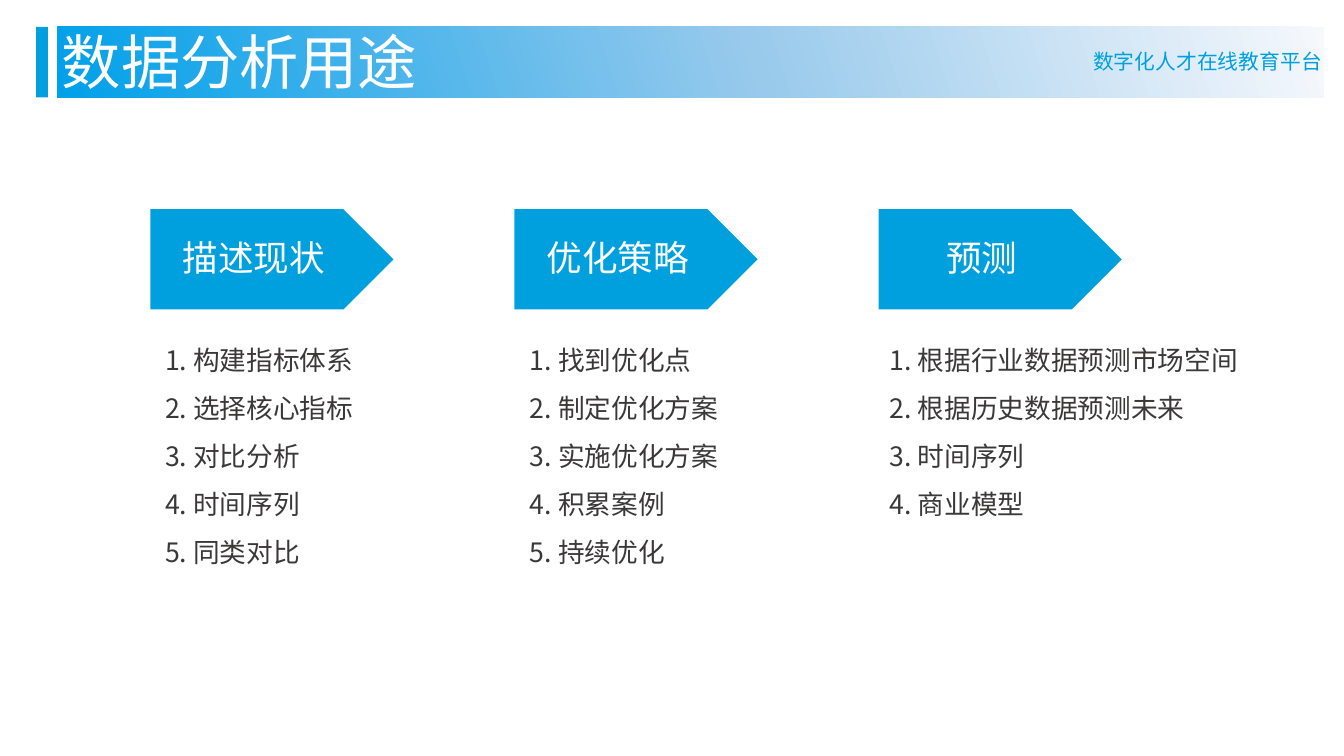
from copy import deepcopy
from dataclasses import dataclass

from lxml import etree
from pptx import Presentation
from pptx import util as u
from pptx.dml.color import RGBColor
from pptx.enum import shapes, text
from pptx.oxml.ns import qn


@dataclass(frozen=True)
class Theme:
    blue: str = "00A0DF"
    white: str = "FFFFFF"
    ink: str = "3B3838"
    band: tuple = (("F6F8FC", 0), ("99CAEC", 0.45), ("00A0EA", 1))
    heading_font: str = "Noto Sans CJK JP"
    list_font: str = "Noto Sans CJK SC"
    title_size: int = 40
    label_size: int = 24
    list_size: int = 18
    tagline_size: int = 14


THEME = Theme()

# Each use: heading, left edge and width of its list in cm, list items
USES = [
    ("描述现状", 3.68, 5.11,
     ["1. 构建指标体系", "2. 选择核心指标", "3. 对比分析", "4. 时间序列", "5. 同类对比"]),
    ("优化策略", 12.37, 5.11,
     ["1. 找到优化点", "2. 制定优化方案", "3. 实施优化方案", "4. 积累案例", "5. 持续优化"]),
    ("预测", 20.93, 8.92,
     ["1. 根据行业数据预测市场空间", "2. 根据历史数据预测未来", "3. 时间序列", "4. 商业模型"]),
]
ARROW_LEFT, ARROW_PITCH = 3.58, 8.67


def apply(target, values):
    for name, value in values.items():
        setattr(target, name, value)


def place(shape, left, top, width, height):
    apply(shape, {"left": u.Cm(left), "top": u.Cm(top),
                  "width": u.Cm(width), "height": u.Cm(height)})


def write(shape, lines, size, color, font=THEME.heading_font,
          align=text.PP_ALIGN.LEFT, anchor=text.MSO_ANCHOR.TOP, spacing=1.0):
    frame = shape.text_frame
    apply(frame, {"text": "\n".join(lines), "word_wrap": True,
                  "auto_size": text.MSO_AUTO_SIZE.NONE, "vertical_anchor": anchor})
    for paragraph in frame.paragraphs:
        apply(paragraph, {"alignment": align, "line_spacing": spacing,
                          "space_before": u.Pt(0)})
        for run in paragraph.runs:
            apply(run.font, {"size": u.Pt(size), "name": font})
            run.font.color.rgb = RGBColor.from_string(color)
            # East Asian typeface
            etree.SubElement(run.font._element, qn("a:ea"), typeface=font)


def add_block(slide, kind, box, color=THEME.blue):
    block = slide.shapes.add_shape(kind, *map(u.Cm, box))
    block.shadow.inherit = False
    block.fill.solid()
    block.fill.fore_color.rgb = RGBColor.from_string(color)
    block.line.fill.background()
    return block


def add_text(slide, box, lines, size, color, **options):
    write(slide.shapes.add_textbox(*map(u.Cm, box)), lines, size, color, **options)


def add_band(slide, box):
    band = add_block(slide, shapes.MSO_SHAPE.RECTANGLE, box)
    band.rotation = 180
    band.fill.gradient()
    band.fill.gradient_angle = 18
    # The default gradient has two stops; the band needs three
    stop_list = band._element.spPr.find(".//" + qn("a:gsLst"))
    stop_list.append(deepcopy(stop_list[-1]))
    for stop, (color, position) in zip(band.fill.gradient_stops, THEME.band):
        stop.color.rgb = RGBColor.from_string(color)
        stop.position = position


def add_header(slide):
    add_band(slide, (1.37, 0.64, 30.15, 1.68))
    add_block(slide, shapes.MSO_SHAPE.RECTANGLE, (0.86, 0.64, 0.28, 1.68))
    add_text(slide, (25.78, 1.04, 6.25, 0.86), ["数字化人才在线教育平台"],
             THEME.tagline_size, THEME.blue)
    title = slide.shapes.title
    place(title, 1.22, 0.48, 14, 1.96)
    write(title, ["数据分析用途"], THEME.title_size, THEME.white)
    # Bring the title in front of the band
    slide.shapes._spTree.append(title._element)


def add_use(slide, column, heading, list_left, list_width, items):
    arrow = add_block(slide, shapes.MSO_SHAPE.PENTAGON,
                      (ARROW_LEFT + column * ARROW_PITCH, 4.98, 5.79, 2.39))
    write(arrow, [heading], THEME.label_size, THEME.white,
          align=text.PP_ALIGN.CENTER, anchor=text.MSO_ANCHOR.MIDDLE)
    apply(arrow.text_frame, {"margin_right": u.Cm(0.52), "margin_bottom": u.Cm(0.22)})
    add_text(slide, (list_left, 7.67, list_width, 8.3), items, THEME.list_size,
             THEME.ink, font=THEME.list_font, spacing=1.5)


def main():
    deck = Presentation()
    apply(deck, {"slide_width": u.Cm(32), "slide_height": u.Cm(18)})
    slide = deck.slides.add_slide(deck.slide_layouts.get_by_name("Title Only"))
    add_header(slide)
    for column, use in enumerate(USES):
        add_use(slide, column, *use)
    deck.save("out.pptx")


if __name__ == "__main__":
    main()
